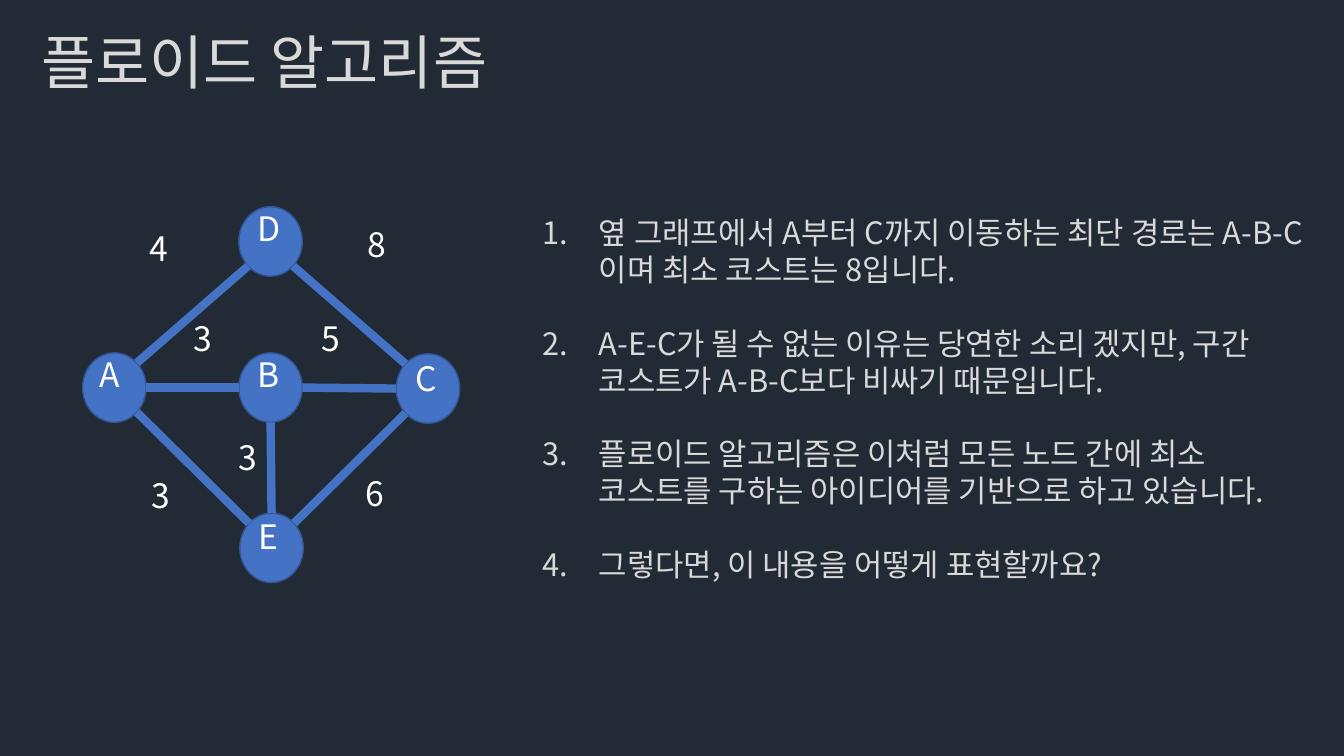
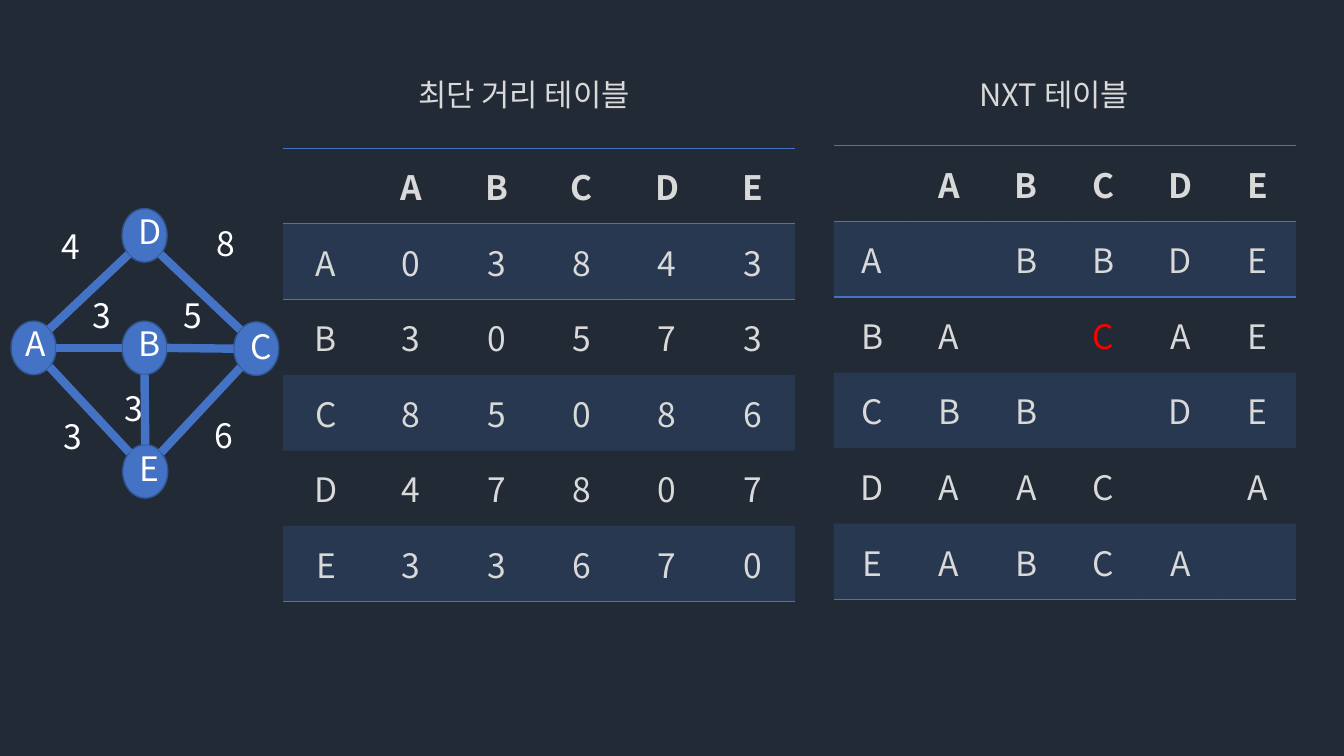
from dataclasses import dataclass

from lxml.etree import SubElement
from pptx import Presentation
from pptx.dml.color import RGBColor
from pptx.enum.shapes import MSO_CONNECTOR, MSO_SHAPE
from pptx.enum.text import MSO_ANCHOR, PP_ALIGN
from pptx.oxml.ns import qn
from pptx.util import Pt


@dataclass(frozen=True)
class Theme:
    background: str = "222A35"
    text: str = "D9D9D9"
    label: str = "FFFFFF"
    accent: str = "4472C4"
    outline: str = "325491"
    highlight: str = "FF0000"
    font: str = "Noto Sans CJK KR"
    title_size: float = 42
    body_size: float = 22
    label_size: float = 24
    line_height: float = 1.2
    indent: float = 40.5
    band_alpha: int = 20


THEME = Theme()
NO_GRID_STYLE = "{2D5ABB26-0587-4C30-8999-92F81FD0307C}"

# Graph in points, measured from the left of node A and the top of node D
NODE_SIZE = (45.4, 49.7)
LABEL_SIZE = (33.8, 52.6)
NODES = {
    "A": (0, 104.4),
    "C": (224, 105.1),
    "D": (111.6, 0),
    "E": (112.3, 218.9),
    "B": (111.6, 104.4),
}
EDGES = ["DA", "DC", "CE", "AE", "AB", "BC", "EB"]
LABELS = [
    ("4", 41, 11.5), ("8", 196.6, 8.6), ("3", 72, 75.6), ("5", 163.4, 75.6),
    ("3", 104.4, 161.3), ("3", 42.5, 187.9), ("6", 195.1, 186.5),
    ("A", 5, 101.5), ("B", 118.1, 101.5), ("C", 230.4, 104.4),
    ("E", 118.8, 217.4), ("D", 118.1, -2.9),
]

EXPLANATION = [
    "옆 그래프에서 A부터 C까지 이동하는 최단 경로는 A-B-C이며 최소 코스트는 8입니다.",
    "A-E-C가 될 수 없는 이유는 당연한 소리 겠지만, 구간 코스트가 A-B-C보다 비싸기 때문입니다.",
    "플로이드 알고리즘은 이처럼 모든 노드 간에 최소 코스트를 구하는 아이디어를 기반으로 하고 있습니다.",
    "그렇다면, 이 내용을 어떻게 표현할까요?",
]

# One string per row, one character per cell
DISTANCES = [" ABCDE", "A03843", "B30573", "C85086", "D47807", "E33670"]
NEXT_NODES = [" ABCDE", "A BBDE", "BA CAE", "CBB DE", "DAAC A", "EABCA "]


def rgb(color):
    return RGBColor.from_string(color)


def write(paragraph, text, size, color, bold=False):
    run = paragraph.add_run()
    run.text = text
    run.font.color.rgb = rgb(color)
    formats = {"size": Pt(size), "name": THEME.font, "bold": bold}
    for name, value in formats.items():
        setattr(run.font, name, value)
    # Korean letters take the East Asian typeface
    properties = run.font._element
    SubElement(properties, qn("a:ea")).set("typeface", THEME.font)


def add_text(shapes, texts, left, top, width, height, size, color, numbered=False):
    box = shapes.add_textbox(Pt(left), Pt(top), Pt(width), Pt(height))
    frame = box.text_frame
    frame.word_wrap = True
    line = Pt(size * THEME.line_height)
    for index, text in enumerate(texts):
        paragraph = frame.add_paragraph() if index else frame.paragraphs[0]
        if numbered:
            number_paragraph(paragraph)
        paragraph.line_spacing = line
        if index:
            paragraph.space_before = line
        write(paragraph, text, size, color)


def number_paragraph(paragraph):
    properties = paragraph._p.get_or_add_pPr()
    properties.set("marL", str(Pt(THEME.indent)))
    properties.set("indent", str(-Pt(THEME.indent)))
    SubElement(properties, qn("a:buFont")).set("typeface", THEME.font)
    SubElement(properties, qn("a:buAutoNum")).set("type", "arabicPeriod")


def add_node(shapes, left, top, width, height):
    node = shapes.add_shape(MSO_SHAPE.OVAL, Pt(left), Pt(top), Pt(width), Pt(height))
    node.shadow.inherit = False
    node.fill.solid()
    node.fill.fore_color.rgb = rgb(THEME.accent)
    node.line.color.rgb = rgb(THEME.outline)
    node.line.width = Pt(1)


def add_edge(shapes, start, end):
    points = [Pt(value) for value in (*start, *end)]
    edge = shapes.add_connector(MSO_CONNECTOR.STRAIGHT, *points)
    edge.line.color.rgb = rgb(THEME.accent)
    edge.line.width = Pt(6)
    SubElement(edge._element.spPr, qn("a:effectLst"))


def direction(delta):
    """Sign of a distance, taking nearly aligned nodes as aligned."""
    return 0 if abs(delta) < 5 else (1 if delta > 0 else -1)


def rim_point(name, other):
    """Point on the rim of a node, in one of eight directions to another."""
    steps = [direction(b - a) for a, b in zip(NODES[name], NODES[other])]
    reach = 0.5 ** 0.5 if all(steps) else 1
    return tuple(
        corner + size / 2 * (1 + step * reach)
        for corner, size, step in zip(NODES[name], NODE_SIZE, steps)
    )


def add_graph(slide, left, top, scale_x=1, scale_y=1):
    shapes = slide.shapes.add_group_shape().shapes

    def scaled(size):
        return size[0] * scale_x, size[1] * scale_y

    def place(point):
        x, y = scaled(point)
        return left + x, top + y

    for corner in NODES.values():
        add_node(shapes, *place(corner), *scaled(NODE_SIZE))
    for start, end in EDGES:
        add_edge(shapes, place(rim_point(start, end)), place(rim_point(end, start)))
    for text, x, y in LABELS:
        add_text(shapes, [text], *place((x, y)), *scaled(LABEL_SIZE),
                 THEME.label_size, THEME.label)


def add_border(cell, side):
    line = SubElement(cell._tc.get_or_add_tcPr(), qn(f"a:ln{side}"), w=str(Pt(1)))
    fill = SubElement(line, qn("a:solidFill"))
    SubElement(fill, qn("a:srgbClr")).set("val", THEME.accent)


def fill_band(cell):
    cell.fill.solid()
    cell.fill.fore_color.rgb = rgb(THEME.accent)
    color = cell._tc.tcPr.find(f"{qn('a:solidFill')}/{qn('a:srgbClr')}")
    SubElement(color, qn("a:alpha")).set("val", str(THEME.band_alpha * 1000))


def add_grid(slide, rows, left, top, column_width, highlighted=None):
    row_height = 54
    count = len(rows)
    table = slide.shapes.add_table(
        count, count, Pt(left), Pt(top),
        Pt(column_width * count), Pt(row_height * count)).table
    table.first_row = table.horz_banding = False
    table._tbl.tblPr.find(qn("a:tableStyleId")).text = NO_GRID_STYLE
    for column in table.columns:
        column.width = Pt(column_width)
    for row_index, row in enumerate(rows):
        table.rows[row_index].height = Pt(row_height)
        for column_index, text in enumerate(row):
            cell = table.cell(row_index, column_index)
            # Rules above and below the header, and below the last row
            if row_index in (0, 1):
                add_border(cell, "T")
            if row_index in (0, count - 1):
                add_border(cell, "B")
            if row_index % 2:
                fill_band(cell)
            else:
                cell.fill.background()
            cell.vertical_anchor = MSO_ANCHOR.MIDDLE
            paragraph = cell.text_frame.paragraphs[0]
            paragraph.alignment = PP_ALIGN.CENTER
            if text.strip():
                marked = (row_index, column_index) == highlighted
                write(paragraph, text, THEME.label_size,
                      THEME.highlight if marked else THEME.text,
                      bold=row_index == 0)


def add_slide(presentation):
    return presentation.slides.add_slide(presentation.slide_layouts[6])


def build_introduction(presentation):
    slide = add_slide(presentation)
    add_text(slide.shapes, ["플로이드 알고리즘"], 22.3, 15.1, 436.3, 58.3,
             THEME.title_size, THEME.text)
    add_graph(slide, 59, 147.6)
    add_text(slide.shapes, EXPLANATION, 380.2, 149, 560.2, 300.2,
             THEME.body_size, THEME.text, numbered=True)


def build_tables(presentation):
    slide = add_slide(presentation)
    add_graph(slide, 7.9, 149, scale_x=0.71, scale_y=0.77)
    add_grid(slide, DISTANCES, 202.3, 105.8, 60.95)
    add_grid(slide, NEXT_NODES, 595.4, 104.1, 55.05, highlighted=(2, 3))
    for heading, left, width in (("최단 거리 테이블", 291.6, 187.2),
                                 ("NXT 테이블", 692.6, 136.1)):
        add_text(slide.shapes, [heading], left, 50.4, width, 33.8,
                 THEME.body_size, THEME.text)


def main():
    presentation = Presentation()
    presentation.slide_width = Pt(960)
    presentation.slide_height = Pt(540)
    # Shared background
    background = presentation.slide_master.background.fill
    background.solid()
    background.fore_color.rgb = rgb(THEME.background)
    build_introduction(presentation)
    build_tables(presentation)
    presentation.save("out.pptx")


if __name__ == "__main__":
    main()
